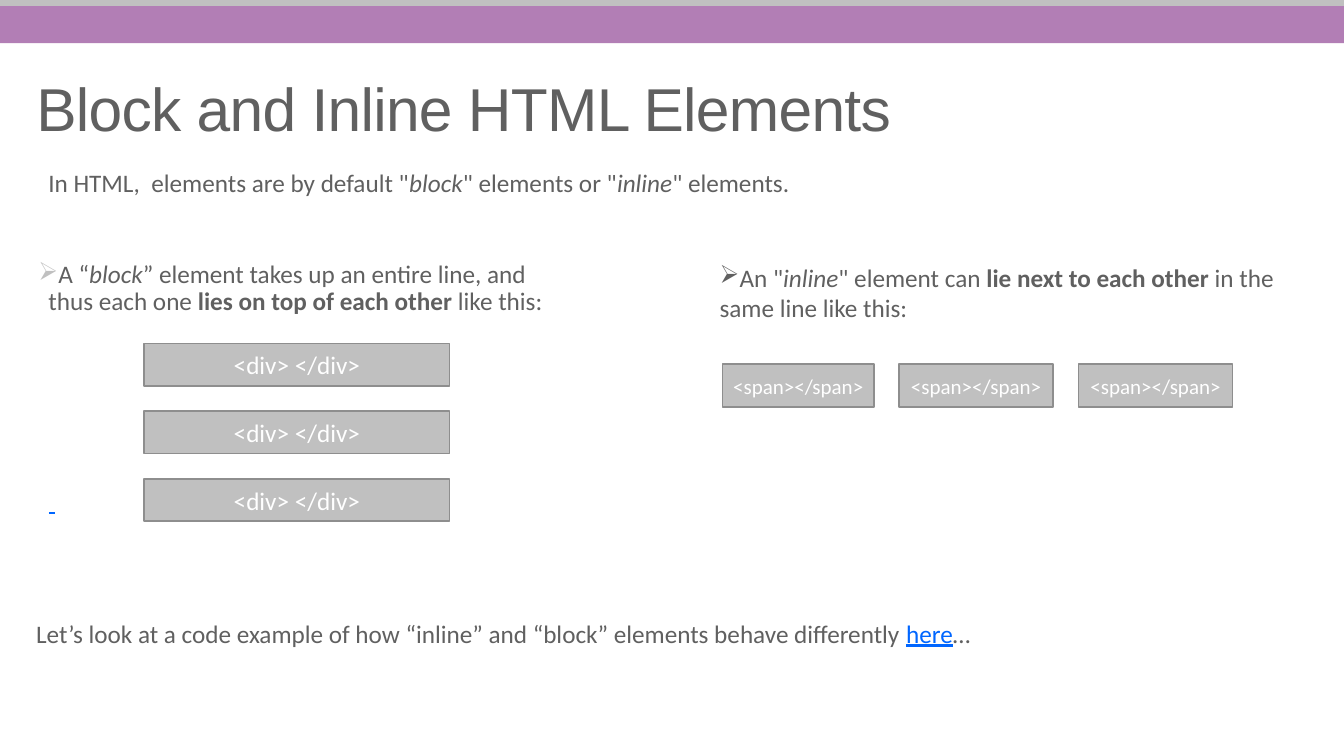
from dataclasses import dataclass

import pptx
import pptx.dml.color
import pptx.enum.shapes
import pptx.enum.text
import pptx.oxml.ns
import pptx.util
from lxml import etree

Pt = pptx.util.Pt
Anchor = pptx.enum.text.MSO_ANCHOR
Align = pptx.enum.text.PP_ALIGN


@dataclass(frozen=True)
class Theme:
    text: str = "606060"
    grey: str = "C0C0C0"
    outline: str = "8E8E8E"
    purple: str = "B27EB5"
    link: str = "0066FF"
    white: str = "FFFFFF"
    title_font: str = "Arial"
    body_font: str = "Calibri"
    title_size: float = 43.2
    body_size: float = 18
    tag_size: float = 15


@dataclass(frozen=True)
class Box:
    left: float
    top: float
    width: float
    height: float


@dataclass(frozen=True)
class TagBox:
    box: Box
    label: str
    size: float


@dataclass(frozen=True)
class Piece:
    text: str
    bold: bool = False
    italic: bool = False
    link: bool = False


THEME = Theme()


def rgb(code: str) -> pptx.dml.color.RGBColor:
    return pptx.dml.color.RGBColor.from_string(code)


def add_span(para, text: str, *, size: float = THEME.body_size, color: str = THEME.text,
             font: str = THEME.body_font, bold: bool = False, italic: bool = False,
             underline: bool = False):
    """Append one formatted run to a paragraph."""
    span = para.add_run()
    span.text = text
    span.font.size = Pt(size)
    span.font.name = font
    span.font.color.rgb = rgb(color)
    span.font.bold = bold
    span.font.italic = italic
    span.font.underline = underline
    return span


def add_bullet(para, hanging: float = 0, color: str = THEME.text) -> None:
    """Give a paragraph an arrow bullet with a hanging indent."""
    props = para._p.get_or_add_pPr()
    props.set("marL", str(Pt(hanging)))
    props.set("indent", str(-Pt(hanging)))
    tint = etree.SubElement(props, pptx.oxml.ns.qn("a:buClr"))
    etree.SubElement(tint, pptx.oxml.ns.qn("a:srgbClr")).set("val", color)
    etree.SubElement(props, pptx.oxml.ns.qn("a:buChar")).set("char", "➢")


def add_text(page, box: Box, pieces: list[Piece], side_inset: float = 7.2):
    """Add a wrapped text box and return its paragraph."""
    shape = page.shapes.add_textbox(Pt(box.left), Pt(box.top), Pt(box.width), Pt(box.height))
    frame = shape.text_frame
    frame.word_wrap = True
    frame.margin_left = frame.margin_right = Pt(side_inset)
    para = frame.paragraphs[0]
    for piece in pieces:
        add_span(para, piece.text, bold=piece.bold, italic=piece.italic,
                 underline=piece.link, color=THEME.link if piece.link else THEME.text)
    return para


def add_rectangle(page, box: Box, fill: str):
    shape = page.shapes.add_shape(pptx.enum.shapes.MSO_SHAPE.RECTANGLE, Pt(box.left),
                                  Pt(box.top), Pt(box.width), Pt(box.height))
    shape.shadow.inherit = False
    shape.fill.solid()
    shape.fill.fore_color.rgb = rgb(fill)
    shape.line.fill.background()
    return shape


def add_tag(page, tag: TagBox) -> None:
    shape = add_rectangle(page, tag.box, THEME.grey)
    shape.line.color.rgb = rgb(THEME.outline)
    shape.line.width = Pt(1.25)
    frame = shape.text_frame
    frame.word_wrap = True
    frame.vertical_anchor = Anchor.MIDDLE
    para = frame.paragraphs[0]
    para.alignment = Align.CENTER
    add_span(para, tag.label, size=tag.size, color=THEME.white)


def set_title(page, box: Box, text: str) -> None:
    title = page.shapes.title
    title.left, title.top = Pt(box.left), Pt(box.top)
    title.width, title.height = Pt(box.width), Pt(box.height)
    frame = title.text_frame
    frame.auto_size = pptx.enum.text.MSO_AUTO_SIZE.NONE
    frame.vertical_anchor = Anchor.BOTTOM
    para = frame.paragraphs[0]
    para.alignment = Align.LEFT
    para.line_spacing = 0.85
    span = add_span(para, text, size=THEME.title_size, font=THEME.title_font)
    span._r.get_or_add_rPr().set("spc", "-50")


def add_link_dash(page) -> None:
    """Draw the short blue underline left of the last block."""
    dash = page.shapes.add_connector(pptx.enum.shapes.MSO_CONNECTOR.STRAIGHT,
                                     Pt(35), Pt(366.5), Pt(39.3), Pt(366.5))
    dash.line.color.rgb = rgb(THEME.link)
    dash.line.width = Pt(1.25)
    etree.SubElement(dash._element.spPr, pptx.oxml.ns.qn("a:effectLst"))


def main() -> None:
    deck = pptx.Presentation()
    deck.slide_width, deck.slide_height = Pt(960), Pt(540)
    page = deck.slides.add_slide(deck.slide_layouts[5])

    # Top bands and title
    add_rectangle(page, Box(0, 4.3, 960, 26.6), THEME.purple)
    add_rectangle(page, Box(0, -0.7, 960, 5), THEME.grey)
    set_title(page, Box(18.7, 43.2, 792, 63.4), "Block and Inline HTML Elements")

    # Introduction
    add_text(page, Box(27.4, 115.9, 814.3, 51.1), [
        Piece('In HTML,  elements are by default "'), Piece("block", italic=True),
        Piece('" elements or "'), Piece("inline", italic=True), Piece('" elements.')])

    # Block explanation, left
    block_para = add_text(page, Box(27.4, 183.6, 380.2, 50), [
        Piece("A “"), Piece("block", italic=True),
        Piece("” element takes up an entire line, and thus each one "),
        Piece("lies on top of each other", bold=True), Piece(" like this:")], side_inset=0)
    block_para.line_spacing = 0.9
    add_bullet(block_para, hanging=7.2, color=THEME.grey)
    add_link_dash(page)

    # Inline explanation, right
    inline_para = add_text(page, Box(506.9, 183.6, 428.4, 159.8), [
        Piece('An "'), Piece("inline", italic=True), Piece('" element can '),
        Piece("lie next to each other ", bold=True), Piece("in the same line like this:")])
    add_bullet(inline_para)

    # Stacked blocks and side-by-side spans
    blocks = [TagBox(Box(103, 245.4 + 48.3 * row, 218.2, 30.3), "<div> </div>", THEME.body_size)
              for row in range(3)]
    spans = [TagBox(Box(left, 260, width, 31), "<span></span>", THEME.tag_size)
             for left, width in ((516.2, 108), (642.2, 110), (770.4, 110))]
    for tag in blocks + spans:
        add_tag(page, tag)

    # Closing line
    add_text(page, Box(18.7, 437.8, 741.6, 28.8), [
        Piece("Let’s look at a code example of how “inline” and “block” elements "
              "behave differently "), Piece("here", link=True), Piece("…")])

    deck.save("out.pptx")


if __name__ == "__main__":
    main()
